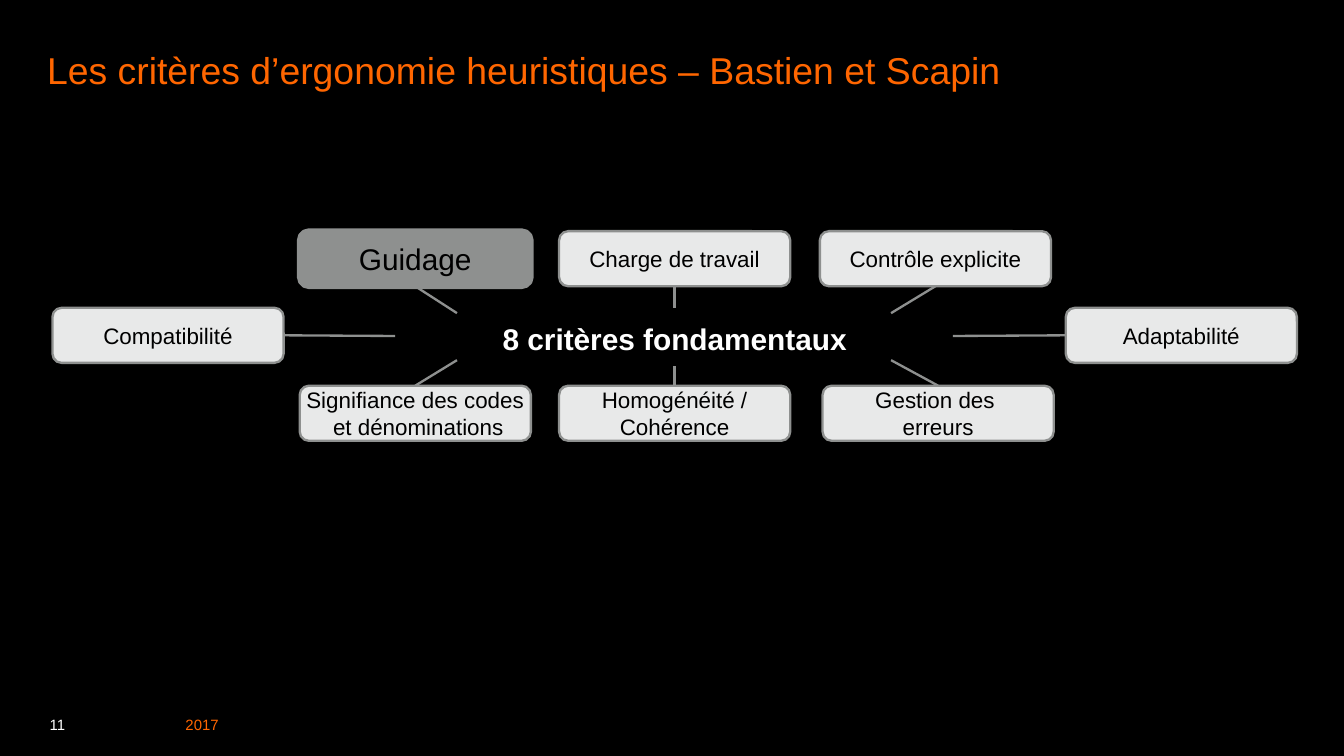
import dataclasses

import pptx
import pptx.dml.color
import pptx.enum.shapes
import pptx.enum.text
import pptx.oxml.ns
import pptx.util
from lxml import etree

Inches = pptx.util.Inches
Pt = pptx.util.Pt
Anchor = pptx.enum.text.MSO_ANCHOR
Align = pptx.enum.text.PP_ALIGN
TOP, LEFT, BOTTOM, RIGHT = range(4)


def rgb(value):
    return pptx.dml.color.RGBColor.from_string(value)


@dataclasses.dataclass(frozen=True)
class Theme:
    font: str = "Arial"
    background: str = "000000"
    accent: str = "FF6600"
    light: str = "FFFFFF"
    dark: str = "000000"
    node: str = "E8E9E9"
    grey: str = "8E908F"
    title_size: float = 20
    key_size: float = 16
    node_size: float = 12
    footer_size: float = 8
    line: float = 1.25
    key_line: float = 3


THEME = Theme()
NODE_WIDTH, NODE_HEIGHT = 1.72, 0.41

# label, left and top in the map, side joined, inner end of the spoke
CRITERIA = [
    ("Guidage", 1.84, 0, BOTTOM, (3.01, 0.61)),
    ("Charge de travail", 3.77, 0, BOTTOM, (4.63, 0.57)),
    ("Contrôle explicite", 5.71, 0, BOTTOM, (6.24, 0.61)),
    ("Adaptabilité", 7.54, 0.57, LEFT, (6.7, 0.78)),
    ("Gestion des \nerreurs", 5.73, 1.15, TOP, (6.24, 0.96)),
    ("Homogénéité /\nCohérence", 3.77, 1.15, TOP, (4.63, 1)),
    ("Signifiance des codes\n et dénominations", 1.84, 1.15, TOP, (3.01, 0.96)),
    ("Compatibilité", 0, 0.57, RIGHT, (2.55, 0.78)),
]
CURRENT = "Guidage"


def write(shape, text, size, color, bold=False, margins=(0, 0),
          frame_format=None, paragraph_format=None):
    frame = shape.text_frame
    frame.text = text
    frame.margin_left = frame.margin_right = Inches(margins[0])
    frame.margin_top = frame.margin_bottom = Inches(margins[1])
    for name, value in (frame_format or {}).items():
        setattr(frame, name, value)
    font_format = {"name": THEME.font, "size": Pt(size), "bold": bold}
    for paragraph in frame.paragraphs:
        for name, value in (paragraph_format or {}).items():
            setattr(paragraph, name, value)
        for run in paragraph.runs:
            for name, value in font_format.items():
                setattr(run.font, name, value)
            run.font.color.rgb = rgb(color)


def place(shape, box):
    for name, value in zip(("left", "top", "width", "height"), box):
        setattr(shape, name, Inches(value))


def add_title(slide, box):
    title = slide.shapes.title
    place(title, box)
    write(title, "Les critères d’ergonomie heuristiques – Bastien et Scapin",
          THEME.title_size, THEME.accent,
          frame_format={"vertical_anchor": Anchor.TOP, "word_wrap": True},
          paragraph_format={"alignment": Align.LEFT, "line_spacing": 0.9})


def add_criterion(slide, label, box):
    current = label == CURRENT
    node = slide.shapes.add_shape(
        pptx.enum.shapes.MSO_SHAPE.FLOWCHART_ALTERNATE_PROCESS, *map(Inches, box))
    node.shadow.inherit = False
    node.fill.solid()
    node.fill.fore_color.rgb = rgb(THEME.grey if current else THEME.node)
    node.line.color.rgb = rgb(THEME.grey)
    node.line.width = Pt(THEME.key_line if current else THEME.line)
    write(node, label, THEME.key_size if current else THEME.node_size, THEME.dark,
          margins=(0.1, 0.05),
          frame_format={"vertical_anchor": Anchor.MIDDLE, "word_wrap": False},
          paragraph_format={"alignment": Align.CENTER})
    return node


def add_spoke(slide, node, side, inner_end):
    """Line from the middle of a criterion's side towards the hub."""
    x, y = map(Inches, inner_end)
    spoke = slide.shapes.add_connector(
        pptx.enum.shapes.MSO_CONNECTOR.STRAIGHT, x, y, x, y)
    spoke.begin_connect(node, side)
    spoke.line.color.rgb = rgb(THEME.grey)
    spoke.line.width = Pt(THEME.line)
    etree.SubElement(spoke._element.spPr, pptx.oxml.ns.qn("a:effectLst"))


def add_criteria_map(slide, box):
    left, top, width, height = box
    nodes = [
        add_criterion(slide, label, (left + x, top + y, NODE_WIDTH, NODE_HEIGHT))
        for label, x, y, _, _ in CRITERIA
    ]
    hub_width, hub_height = 3.69, 0.37
    hub = slide.shapes.add_textbox(*map(Inches, (
        left + (width - hub_width) / 2, top + 0.62, hub_width, hub_height)))
    write(hub, "8 critères fondamentaux", THEME.key_size, THEME.light, bold=True,
          margins=(0.1, 0.05), frame_format={"word_wrap": True},
          paragraph_format={"alignment": Align.CENTER, "space_before": Pt(10)})
    for node, (_, _, _, side, (x, y)) in zip(nodes, CRITERIA):
        add_spoke(slide, node, side, (left + x, top + y))


def add_footer(slide, box):
    left, top, width, height = box
    year_width, year_height = 0.55, 0.24
    entries = [
        ("11", (left, top, 0.3, height), THEME.light),
        ("2017", (left + width - year_width, top + height - year_height,
                  year_width, year_height), THEME.accent),
    ]
    for text, entry_box, color in entries:
        entry = slide.shapes.add_textbox(*map(Inches, entry_box))
        write(entry, text, THEME.footer_size, color,
              frame_format={"vertical_anchor": Anchor.BOTTOM, "word_wrap": True},
              paragraph_format={"line_spacing": 0.85, "space_after": Pt(12)})


def main():
    deck = pptx.Presentation()
    deck.slide_width = Inches(10)
    deck.slide_height = deck.slide_width * 9 // 16
    slide = deck.slides.add_slide(deck.slide_layouts.get_by_name("Title Only"))
    slide.background.fill.solid()
    slide.background.fill.fore_color.rgb = rgb(THEME.background)
    add_title(slide, (0.35, 0.39, 9.31, 0.53))
    add_criteria_map(slide, (0.39, 1.72, 9.26, 1.56))
    add_footer(slide, (0.37, 5.09, 1.56, 0.37))
    deck.save("out.pptx")


if __name__ == "__main__":
    main()
